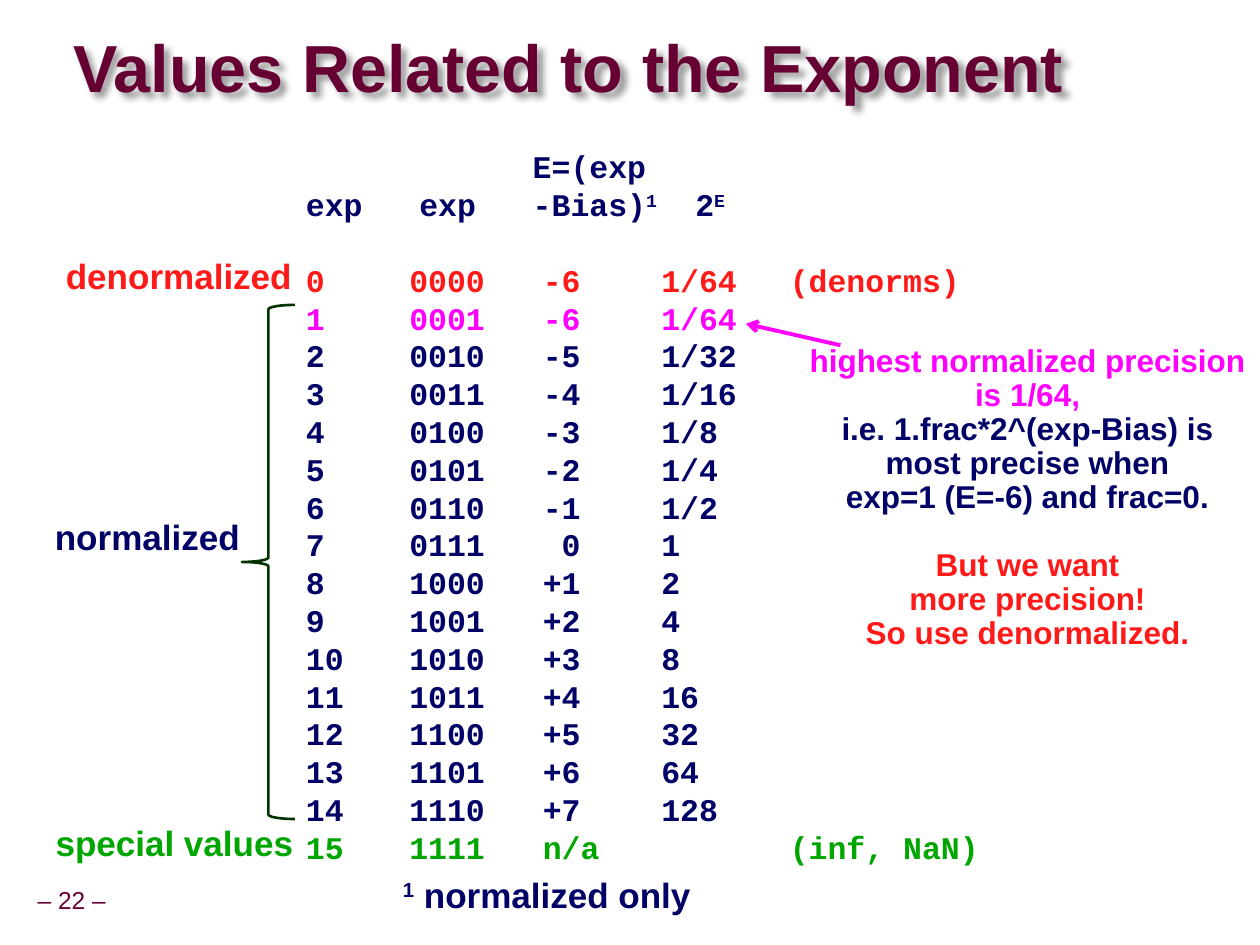
from lxml import etree
from pptx import Presentation
from pptx.dml.color import RGBColor
from pptx.enum.shapes import MSO_CONNECTOR, MSO_SHAPE
from pptx.enum.text import MSO_ANCHOR, PP_ALIGN
from pptx.oxml.ns import qn
from pptx.util import Inches, Pt

MAROON = RGBColor(0x66, 0x00, 0x33)
NAVY = RGBColor(0x00, 0x00, 0x66)
RED = RGBColor(0xFF, 0x1A, 0x1A)
MAGENTA = RGBColor(0xFF, 0x00, 0xFF)
GREEN = RGBColor(0x00, 0xA6, 0x00)
DARK_GREEN = RGBColor(0x00, 0x33, 0x00)

LEFT, CENTER = PP_ALIGN.LEFT, PP_ALIGN.CENTER
MIDDLE = MSO_ANCHOR.MIDDLE
STRAIGHT = MSO_CONNECTOR.STRAIGHT
LEFT_BRACE = MSO_SHAPE.LEFT_BRACE

SANS, MONO = "Arial", "Courier New"
BIAS = 7
HEADER_TABS = (0.9, 1.8, 3.09)
ROW_TABS = (0.82, 1.88, 2.82, 3.84)


def add_run(paragraph, text, size, color, font=SANS, bold=True, raised=False):
    run = paragraph.add_run()
    run.text = text
    run.font.size = Pt(size)
    run.font.name = font
    run.font.bold = bold
    run.font.color.rgb = color
    if raised:
        run.font._element.set("baseline", "30000")


def next_paragraph(frame):
    """Return the first paragraph while it is empty, else a new one."""
    first = frame.paragraphs[0]
    return frame.add_paragraph() if first.runs else first


def add_frame(slide, box, wrap=False):
    frame = slide.shapes.add_textbox(*map(Inches, box)).text_frame
    frame.word_wrap = wrap
    return frame


def add_centered(frame, *runs, **style):
    paragraph = next_paragraph(frame)
    paragraph.alignment = CENTER
    paragraph.line_spacing = 0.9
    for text, size, color, raised in runs:
        add_run(paragraph, text, size, color, raised=raised, **style)
    return paragraph


def add_label(slide, box, text, color):
    add_centered(add_frame(slide, box), (text, 20, color, False))


def add_title(slide, box, text):
    title = slide.shapes.title
    title.left, title.top, title.width, title.height = map(Inches, box)
    title.fill.background()
    frame = title.text_frame
    frame.margin_left = frame.margin_right = 0
    frame.margin_top = frame.margin_bottom = 0
    frame.vertical_anchor = MIDDLE
    paragraph = frame.paragraphs[0]
    paragraph.alignment = LEFT
    paragraph.line_spacing = 0.87
    add_run(paragraph, text, 38, MAROON)
    # Soft shadow under the letters
    effects = etree.SubElement(title._element.spPr, qn("a:effectLst"))
    shadow = etree.SubElement(effects, qn("a:outerShdw"), blurRad="50800",
                              dist="50800", dir="2700000")
    shade = etree.SubElement(shadow, qn("a:srgbClr"), val="000000")
    etree.SubElement(shade, qn("a:alpha"), val="40000")


def add_tabbed_line(frame, tabs):
    paragraph = next_paragraph(frame)
    tab_list = etree.SubElement(paragraph._p.get_or_add_pPr(), qn("a:tabLst"))
    for position in tabs:
        etree.SubElement(tab_list, qn("a:tab"), pos=str(Inches(position)), algn="l")
    paragraph.alignment = LEFT
    paragraph.line_spacing = Pt(21.6)
    return paragraph


def exponent_row(exp):
    """Cells for one exponent: decimal, binary, E, 2^E and a remark."""
    cells = [str(exp), f"{exp:04b}"]
    if exp == 15:
        return cells + ["n/a", "", "(inf, NaN)"]
    e = max(exp, 1) - BIAS
    cells.append(f"{e:+d}" if e else " 0")
    cells.append(f"1/{2 ** -e}" if e < 0 else str(2 ** e))
    return cells + ["(denorms)"] if exp == 0 else cells


def add_exponent_list(slide, box):
    frame = add_frame(slide, box, wrap=True)
    frame.margin_right = 0
    # Column heads
    add_run(add_tabbed_line(frame, HEADER_TABS[1:]), "\tE=(exp", 18, NAVY, MONO)
    heads = add_tabbed_line(frame, HEADER_TABS)
    for text, raised in (("exp\texp\t-Bias)", False), ("1", True),
                         ("\t2", False), ("E", True)):
        add_run(heads, text, 18, NAVY, MONO, raised=raised)
    # One line per exponent
    row_colors = {0: RED, 1: MAGENTA, 15: GREEN}
    for exp in range(16):
        row = add_tabbed_line(frame, ROW_TABS)
        if exp == 0:
            row.space_before = Pt(21.6)
        add_run(row, "\t".join(exponent_row(exp)), 18,
                row_colors.get(exp, NAVY), MONO)


def add_precision_note(slide, box):
    left, top, _, _ = box
    frame = add_frame(slide, box)
    groups = (
        (MAGENTA, 0, ("highest normalized precision", "is 1/64,")),
        (NAVY, 0, ("i.e. 1.frac*2^(exp-Bias) is", "most precise when",
                   "exp=1 (E=-6) and frac=0.")),
        (RED, 19.4, ("But we want", "more precision!", "So use denormalized.")),
    )
    for color, gap, lines in groups:
        for index, line in enumerate(lines):
            paragraph = add_centered(frame, (line, 18, color, False))
            if gap and index == 0:
                paragraph.space_before = Pt(gap)
    # Arrow to the first normalized row
    arrow = slide.shapes.add_connector(
        STRAIGHT, Inches(left + 0.36), Inches(top + 0.05),
        Inches(left - 0.39), Inches(top - 0.12))
    arrow.line.color.rgb = MAGENTA
    arrow.line.width = Pt(2.25)
    etree.SubElement(arrow.line._get_or_add_ln(), qn("a:tailEnd"), type="arrow")
    etree.SubElement(arrow._element.spPr, qn("a:effectLst"))


def add_range_labels(slide, box):
    left, top, width, height = box
    add_label(slide, (left + 0.09, top, 2, 0.41), "denormalized", RED)
    add_label(slide, (left, top + 2.07, 1.68, 0.41), "normalized", NAVY)
    add_label(slide, (left, top + height - 0.41, width, 0.41),
              "special values", GREEN)
    brace = slide.shapes.add_shape(LEFT_BRACE, Inches(left + 1.59),
                                   Inches(top + 0.41), Inches(0.42), Inches(4.08))
    brace.shadow.inherit = False
    brace.fill.background()
    brace.line.color.rgb = DARK_GREEN
    brace.line.width = Pt(1.5)


def add_footer(slide, number_box, footnote_box):
    number = add_frame(slide, number_box)
    number.margin_left = number.margin_right = Inches(0.05)
    number.vertical_anchor = MIDDLE
    add_centered(number, ("– 22 –", 14, MAROON, False), bold=False)
    add_centered(add_frame(slide, footnote_box), ("1", 20, NAVY, True),
                 (" normalized only", 20, NAVY, False))


def main():
    deck = Presentation()
    deck.slide_width, deck.slide_height = Inches(10), Inches(7.5)
    slide = deck.slides.add_slide(deck.slide_layouts[5])
    add_title(slide, (0.58, 0.25, 8.11, 0.63), "Values Related to the Exponent")
    add_exponent_list(slide, (2.33, 1.12, 5.57, 5.82))
    add_precision_note(slide, (6.31, 2.69, 3.69, 2.56))
    add_range_labels(slide, (0.33, 2.01, 2.11, 4.91))
    add_footer(slide, (0.24, 7, 0.66, 0.31), (3.08, 6.92, 2.52, 0.41))
    deck.save("out.pptx")


if __name__ == "__main__":
    main()
